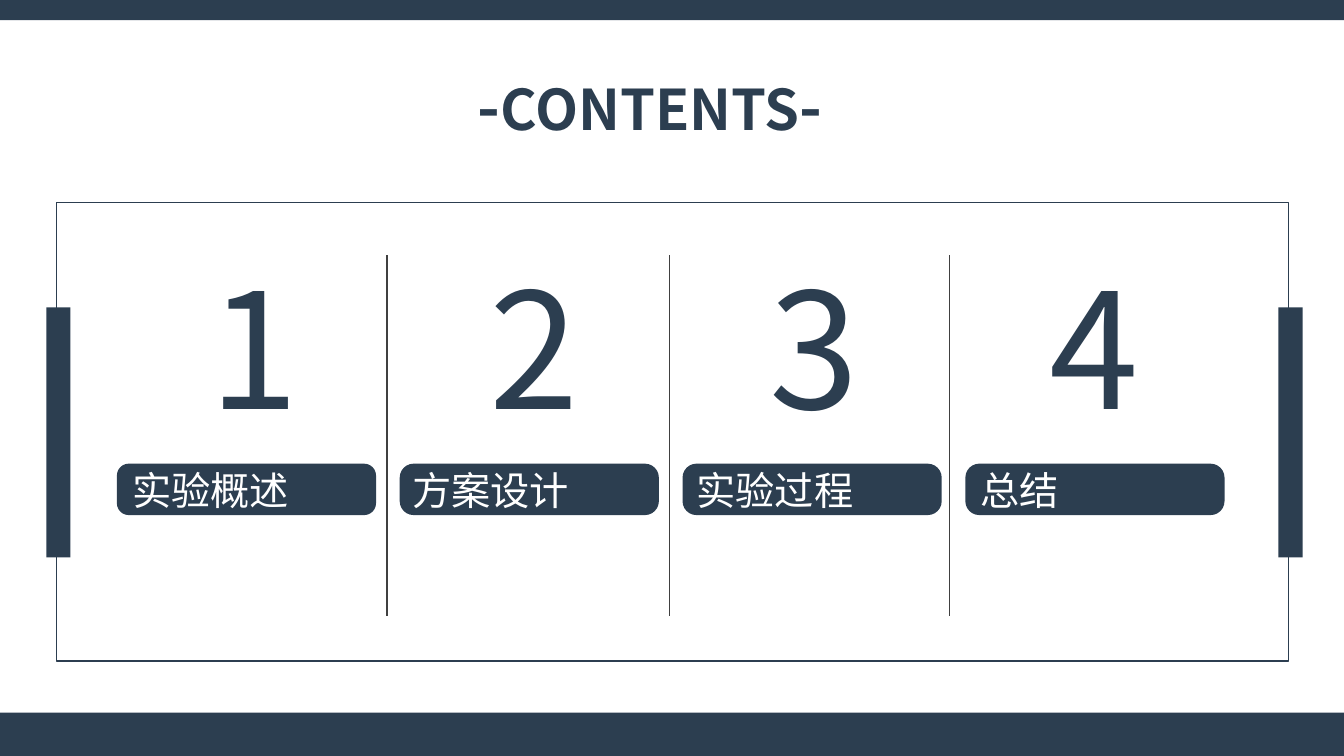
"""Build a contents slide with four numbered sections."""
from lxml.etree import SubElement
from pptx import Presentation
from pptx.dml.color import RGBColor
from pptx.enum.shapes import MSO_CONNECTOR, MSO_SHAPE
from pptx.enum.text import PP_ALIGN
from pptx.oxml.ns import qn
from pptx.util import Inches, Pt

NAVY = RGBColor(0x2C, 0x3E, 0x50)
GRAY = RGBColor(0x40, 0x40, 0x40)
WHITE = RGBColor(0xFF, 0xFF, 0xFF)
FONT = "Noto Sans CJK SC"


def add_block(left, top, width, height, kind=MSO_SHAPE.RECTANGLE):
    shape = slide.shapes.add_shape(
        kind, Inches(left), Inches(top), Inches(width), Inches(height))
    shape.shadow.inherit = False
    shape.fill.solid()
    shape.fill.fore_color.rgb = NAVY
    shape.line.fill.background()
    return shape


def add_text(left, top, width, height, runs, color, alignment, bold=False):
    box = slide.shapes.add_textbox(
        Inches(left), Inches(top), Inches(width), Inches(height))
    frame = box.text_frame
    frame.word_wrap = True
    frame.margin_left = frame.margin_right = 0
    frame.margin_top = frame.margin_bottom = 0
    paragraph = frame.paragraphs[0]
    paragraph.alignment = alignment
    for text, size in runs:
        run = paragraph.add_run()
        run.text = text
        run.font.size = Pt(size)
        run.font.bold = bold
        run.font.name = FONT
        run.font.color.rgb = color
        east_asian = SubElement(run.font._element, qn("a:ea"))
        east_asian.set("typeface", FONT)


presentation = Presentation()
presentation.slide_width = Inches(13.33)
presentation.slide_height = Inches(7.5)
slide = presentation.slides.add_slide(presentation.slide_layouts[6])

add_block(0, 7.07, 13.33, 0.43)
add_block(0, 0, 13.33, 0.2)

sections = [("实验概述", 1.31), ("方案设计", 4.09), ("实验过程", 6.91), ("总结", 9.72)]
for index, (label, label_left) in enumerate(sections):
    pill = add_block(1.16 + 2.805 * index, 4.6, 2.57, 0.51, MSO_SHAPE.ROUNDED_RECTANGLE)
    pill.adjustments[0] = 0.23 if index == 0 else 0.27
    add_text(label_left, 4.63, 2.28, 0.47, [(label, 28)], WHITE, PP_ALIGN.JUSTIFY)
    add_text(2.08 + 2.775 * index, 2.47, 0.78, 1.94,
             [(str(index + 1), 115)], NAVY, PP_ALIGN.CENTER)

for left in (3.84, 6.64, 9.42):
    divider = slide.shapes.add_connector(
        MSO_CONNECTOR.STRAIGHT, Inches(left), Inches(2.53), Inches(left), Inches(6.11))
    divider.line.color.rgb = GRAY
    divider.line.width = Pt(1)
    SubElement(divider._element.spPr, qn("a:effectLst"))

add_text(4.74, 0.68, 3.85, 0.74, [("-", 44), ("CONTENTS", 40), ("-", 44)],
         NAVY, PP_ALIGN.JUSTIFY, bold=True)

for left in (0.46, 12.68):
    add_block(left, 3.05, 0.24, 2.48)
border = add_block(0.56, 2.01, 12.22, 4.55)
border.fill.background()
border.line.color.rgb = NAVY
border.line.width = Pt(1)

presentation.save("out.pptx")
